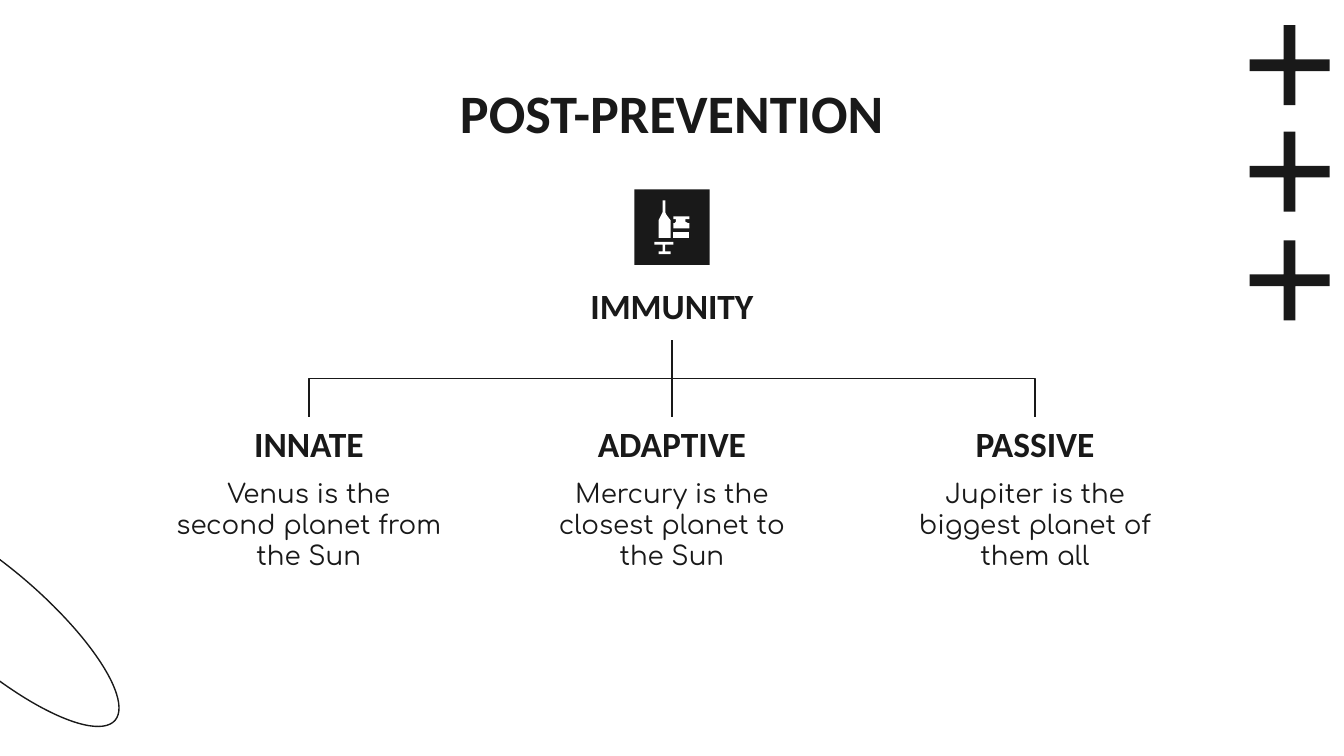
from pptx import Presentation
from pptx.dml.color import RGBColor
from pptx.enum.shapes import MSO_CONNECTOR as CONN, MSO_SHAPE as SHAPE
from pptx.enum.text import MSO_ANCHOR as ANCHOR, PP_ALIGN as ALIGN
from pptx.oxml.ns import qn
from pptx.util import Pt
from lxml import etree

INK, WHITE = "191919", "FFFFFF"


def paint(sp, fill=None, line=None):
    """Set fill and outline, where None means neither, and drop the shadow."""
    sp.shadow.inherit = False
    if fill:
        sp.fill.solid()
        sp.fill.fore_color.rgb = RGBColor.from_string(fill)
    else:
        sp.fill.background()
    if line:
        sp.line.color.rgb = RGBColor.from_string(line)
        sp.line.width = Pt(0.75)
    else:
        sp.line.fill.background()


def add_text(text, x, y, w, h, size, font, bold=False, anchor=ANCHOR.TOP):
    sp = s.shapes.add_textbox(Pt(x), Pt(y), Pt(w), Pt(h))
    tf = sp.text_frame
    tf.word_wrap = True
    tf.vertical_anchor = anchor
    tf.margin_top = tf.margin_bottom = Pt(7.2)
    p = tf.paragraphs[0]
    p.text = text
    p.alignment = ALIGN.CENTER
    p.font.size, p.font.name, p.font.bold = Pt(size), font, bold
    p.font.color.rgb = RGBColor.from_string(INK)
    return sp


prs = Presentation()
prs.slide_width, prs.slide_height = Pt(720), Pt(405)
s = prs.slides.add_slide(prs.slide_layouts[6])

# Decoration
ellipse = s.shapes.add_shape(SHAPE.OVAL, Pt(-86.4), Pt(305.4), Pt(168.5), Pt(51))
ellipse.rotation = 40.8
paint(ellipse, line=INK)
for y in (5.8, 62.8, 121):
    plus = s.shapes.add_shape(SHAPE.MATH_PLUS, Pt(661.7), Pt(y), Pt(58.3), Pt(58.3))
    plus.adjustments[0] = 0.107
    paint(plus, INK)

add_text("POST-PREVENTION", 56.7, 35.3, 606.6, 45.4, 29, "Calibri", True)

# Tree of immunity types
CENTER, STEP, BOX_W, BOX_H = 360, 194.5, 158, 33
ROOT_Y, CHILD_Y = 149.2, 223.2
DROP = CHILD_Y - ROOT_Y - BOX_H
root = add_text("IMMUNITY", CENTER - BOX_W / 2, ROOT_Y, BOX_W, BOX_H,
                19, "Calibri", True, ANCHOR.BOTTOM)
types = [
    ("INNATE", "Venus is the second planet from the Sun"),
    ("ADAPTIVE", "Mercury is the closest planet to the Sun"),
    ("PASSIVE", "Jupiter is the biggest planet of them all"),
]
for side, (name, note) in zip((-1, 0, 1), types):
    x = CENTER + side * STEP
    child = add_text(name, x - BOX_W / 2, CHILD_Y, BOX_W, BOX_H,
                     19, "Calibri", True, ANCHOR.BOTTOM)
    add_text(note, x - BOX_W / 2, 248.4, BOX_W, 66.2, 14, "Comfortaa")

    kind = CONN.ELBOW if side else CONN.STRAIGHT
    c = s.shapes.add_connector(kind, Pt(CENTER), Pt(CHILD_Y - DROP), Pt(x), Pt(CHILD_Y))
    c.begin_connect(root, 2)
    c.end_connect(child, 0)
    c.line.color.rgb = RGBColor.from_string(INK)
    c.line.width = Pt(0.75)
    spPr = c._element.spPr
    etree.SubElement(spPr, qn("a:effectLst"))
    if side:  # turn the elbow so that it leaves and arrives vertically
        c.left, c.top = Pt((CENTER + x - DROP) / 2), Pt(CHILD_Y - (DROP + STEP) / 2)
        c.width, c.height = Pt(DROP), Pt(STEP)
        spPr.xfrm.flipH = side > 0
        spPr.xfrm.set("rot", "16200000" if side > 0 else "5400000")

# Vaccine icon, outlines in hundredths of an inch
tile = s.shapes.add_shape(SHAPE.RECTANGLE, Pt(339.8), Pt(101.5), Pt(40.4), Pt(40.4))
paint(tile, INK)
vial_top = [(501, 161), (501, 163), (503, 163), (503, 165), (502, 166), (501, 166),
            (501, 170), (513, 170), (513, 166), (512, 166), (510, 165), (510, 163),
            (513, 163), (513, 161)]
vial_base = [(501, 173), (501, 177), (513, 177), (513, 173)]
syringe = [(493, 149), (493, 158), (492, 160), (490, 164), (490, 177), (499, 177),
           (499, 164), (496, 160), (495, 158), (495, 149)]
plunger = [(487, 180), (487, 182), (493, 182), (493, 187), (490, 187), (490, 189),
           (499, 189), (499, 187), (495, 187), (495, 182), (501, 182), (501, 180)]
for outline in (vial_top, vial_base, syringe, plunger):
    fb = s.shapes.build_freeform(*outline[0], scale=Pt(0.72))
    fb.add_line_segments(outline[1:])
    paint(fb.convert_to_shape(), WHITE)

prs.save("out.pptx")
